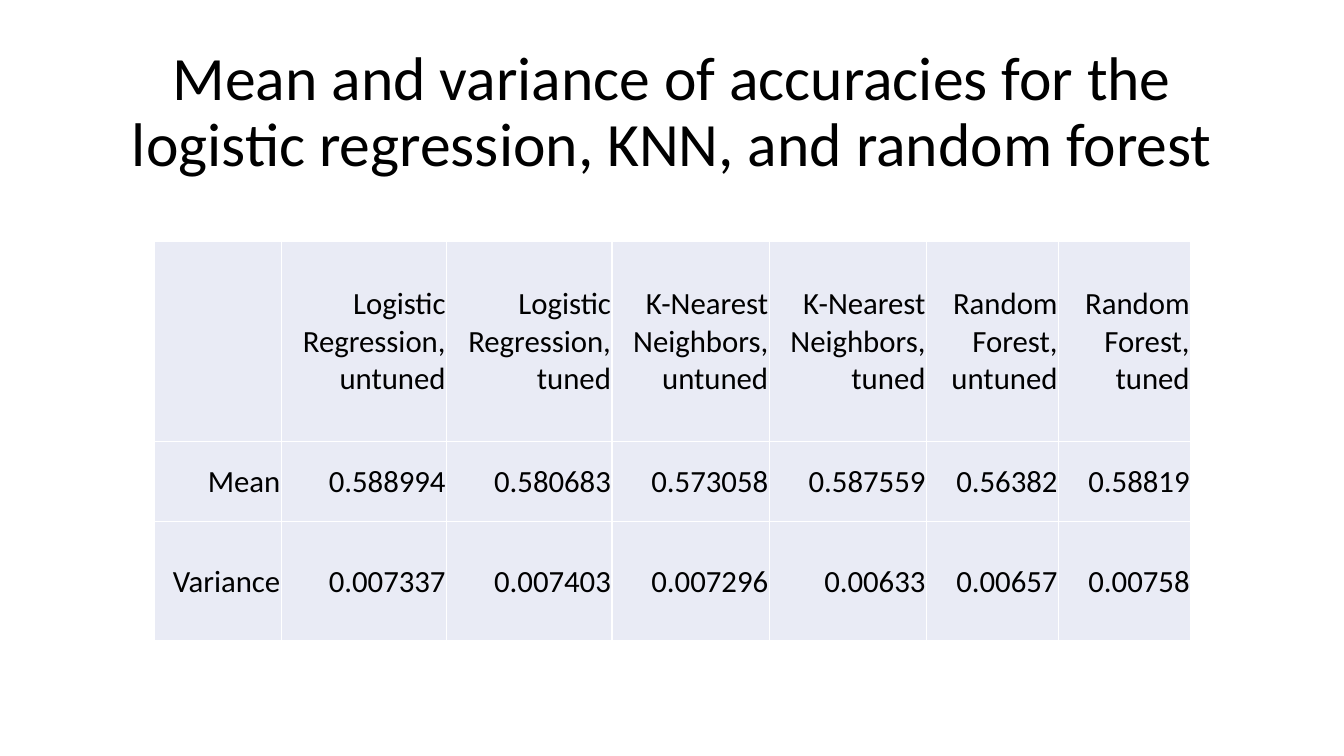
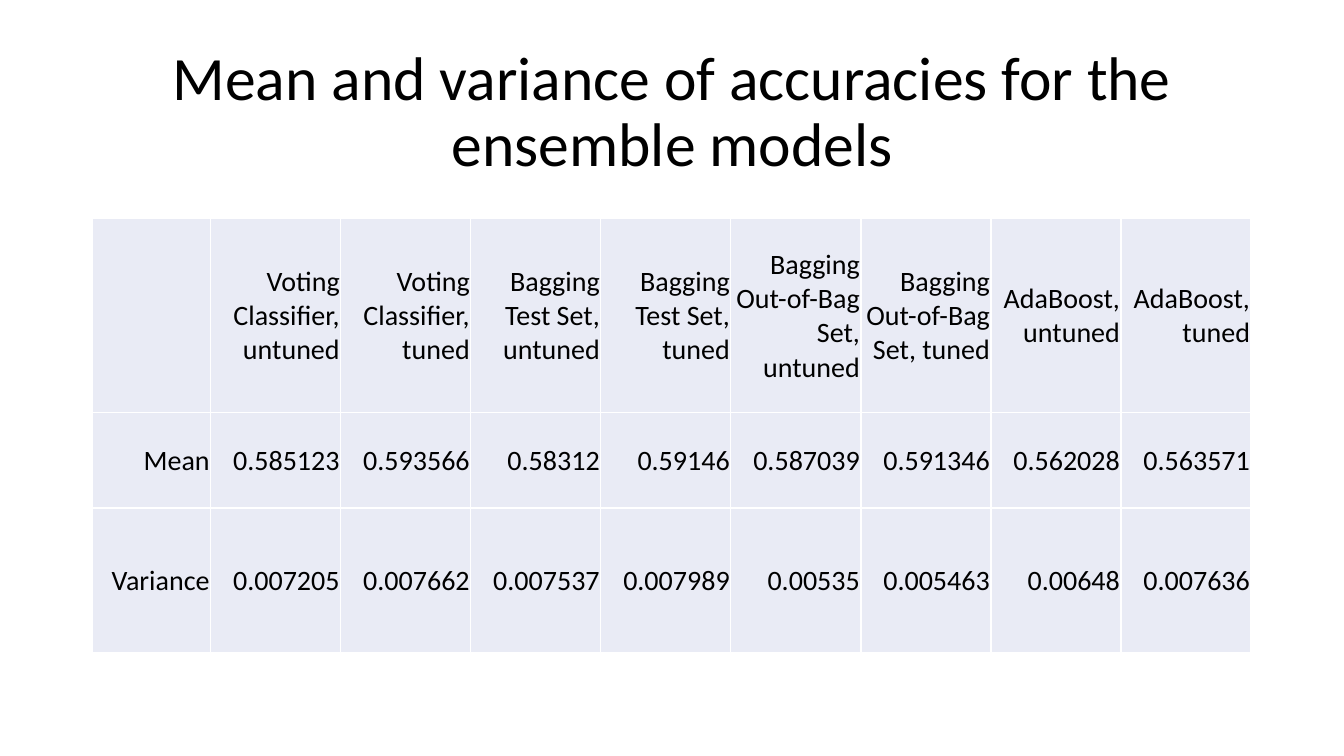
from lxml import etree
from pptx import Presentation
from pptx.dml.color import RGBColor
from pptx.enum import text
from pptx.oxml import ns
from pptx.util import Inches, Pt

HUES = {"ink": "000000", "cell": "E9EBF5", "rule": "FFFFFF"}
FONT = "Calibri"
PADS = {"margin_left": 0.01, "margin_right": 0.01, "margin_top": 0.01, "margin_bottom": 0}
TITLE = "Mean and variance of accuracies for the "

SLIDES = [
    {
        "topic": "logistic regression, KNN, and random forest",
        "left": 1.53, "top": 2.39, "size": 22,
        "cols": [1.26, 1.64, 1.64, 1.56, 1.56, 1.31, 1.31],
        "rows": [1.99, 0.79, 1.19],
        "models": ["Logistic Regression", "K-Nearest Neighbors", "Random Forest"],
        "mean": ["0.588994", "0.580683", "0.573058", "0.587559", "0.56382", "0.58819"],
        "var": ["0.007337", "0.007403", "0.007296", "0.00633", "0.00657", "0.00758"],
    },
    {
        "topic": "ensemble models",
        "left": 0.92, "top": 2.17, "size": 20,
        "cols": [1.17] + [1.29] * 8,
        "rows": [1.92, 0.95, 1.43],
        "models": ["Voting Classifier", "Bagging Test Set", "Bagging Out-of-Bag Set", "AdaBoost"],
        "mean": ["0.585123", "0.593566", "0.58312", "0.59146",
                 "0.587039", "0.591346", "0.562028", "0.563571"],
        "var": ["0.007205", "0.007662", "0.007537", "0.007989",
                "0.00535", "0.005463", "0.00648", "0.007636"],
    },
]


def write(frame, words, size, align):
    para = frame.paragraphs[0]
    para.alignment = align
    run = para.add_run()
    run.text = words
    for key, val in {"name": FONT, "size": Pt(size)}.items():
        setattr(run.font, key, val)
    run.font.color.rgb = RGBColor.from_string(HUES["ink"])
    return para


def border(cell):
    """Draw a 1 pt rule on all four sides; call before the fill is set."""
    props = cell._tc.get_or_add_tcPr()
    for side in ("lnL", "lnR", "lnT", "lnB"):
        line = etree.SubElement(props, ns.qn(f"a:{side}"), w=str(Pt(1)))
        fill = etree.SubElement(line, ns.qn("a:solidFill"))
        etree.SubElement(fill, ns.qn("a:srgbClr"), val=HUES["rule"])


deck = Presentation()
deck.slide_width, deck.slide_height = Inches(13.33), Inches(7.5)

for data in SLIDES:
    slide = deck.slides.add_slide(deck.slide_layouts[6])

    title = slide.shapes.add_textbox(Inches(0.92), Inches(0.4), Inches(11.5), Inches(1.45))
    frame = title.text_frame
    frame.word_wrap = True
    frame.vertical_anchor = text.MSO_ANCHOR.MIDDLE
    para = write(frame, TITLE + data["topic"], 44, text.PP_ALIGN.CENTER)
    para.line_spacing = 0.9

    heads = [f"{model}, {state}" for model in data["models"] for state in ("untuned", "tuned")]
    grid = [[""] + heads, ["Mean"] + data["mean"], ["Variance"] + data["var"]]
    cols, rows = data["cols"], data["rows"]
    table = slide.shapes.add_table(
        len(rows), len(cols), Inches(data["left"]), Inches(data["top"]),
        Inches(sum(cols)), Inches(sum(rows))).table
    table.first_row = table.horz_banding = False
    for col, width in zip(table.columns, cols):
        col.width = Inches(width)
    for row, height, line in zip(table.rows, rows, grid):
        row.height = Inches(height)
        for cell, words in zip(row.cells, line):
            border(cell)
            cell.fill.solid()
            cell.fill.fore_color.rgb = RGBColor.from_string(HUES["cell"])
            cell.vertical_anchor = text.MSO_ANCHOR.MIDDLE
            for key, val in PADS.items():
                setattr(cell, key, Inches(val))
            if words:
                write(cell.text_frame, words, data["size"], text.PP_ALIGN.RIGHT)

deck.save("out.pptx")
